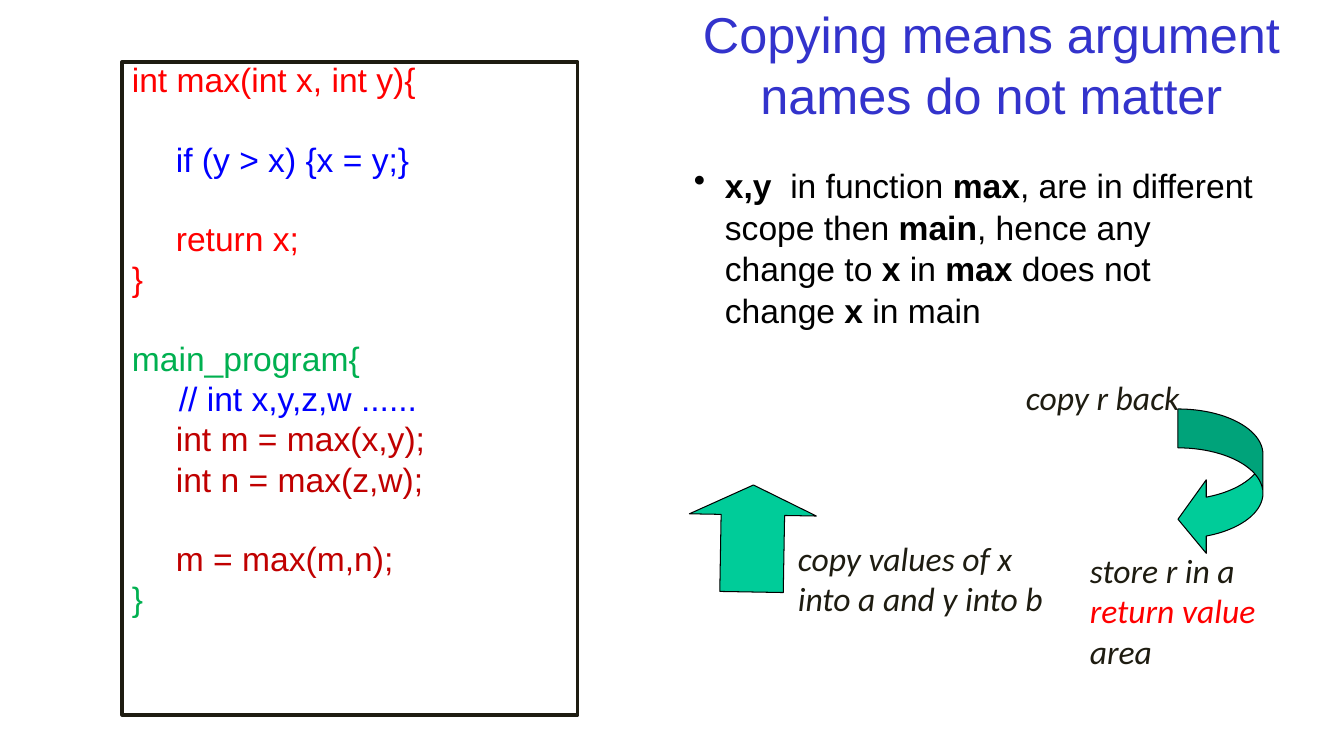
from dataclasses import dataclass

from lxml.etree import SubElement
from pptx import Presentation
from pptx.dml.color import RGBColor
from pptx.enum.shapes import MSO_SHAPE
from pptx.enum.text import MSO_ANCHOR, MSO_AUTO_SIZE, PP_ALIGN
from pptx.oxml.ns import qn
from pptx.util import Emu, Pt

SCALE = 914400 / 100.8


def px(length):
    return Emu(round(length * SCALE))


@dataclass(frozen=True)
class Theme:
    title: str = "3333CC"
    body: str = "000000"
    ink: str = "1E1C11"
    red: str = "FF0000"
    blue: str = "0000FF"
    green: str = "00B050"
    dark_red: str = "C00000"
    arrow: str = "00CC99"
    sans: str = "Arial"
    note: str = "Calibri"
    title_size: int = 36
    text_size: int = 24


class SlideBuilder:
    def __init__(self, theme, slide):
        self.theme = theme
        self.slide = slide

    def place(self, shape, box):
        for side, length in zip(("left", "top", "width", "height"), box):
            setattr(shape, side, px(length))

    def frame(self, shape, anchor=MSO_ANCHOR.TOP):
        settings = {"word_wrap": True, "auto_size": MSO_AUTO_SIZE.NONE,
                    "vertical_anchor": anchor}
        for name, value in settings.items():
            setattr(shape.text_frame, name, value)
        return shape.text_frame

    def run(self, paragraph, text, color, **style):
        run = paragraph.add_run()
        run.text = text
        settings = {"name": self.theme.sans, "size": Pt(self.theme.text_size)} | style
        for name, value in settings.items():
            setattr(run.font, name, value)
        run.font.color.rgb = RGBColor.from_string(color)

    def indent(self, paragraph, margin, first=0):
        properties = paragraph._p.get_or_add_pPr()
        properties.set("marL", str(px(margin)))
        properties.set("indent", str(px(first)))
        return properties

    def title(self, text, box):
        heading = self.slide.shapes.title
        self.place(heading, box)
        paragraph = self.frame(heading, MSO_ANCHOR.MIDDLE).paragraphs[0]
        paragraph.alignment = PP_ALIGN.CENTER
        self.run(paragraph, text, self.theme.title, size=Pt(self.theme.title_size))

    def shape(self, kind, box, line, width, fill=None, adjustments=(), rotation=0):
        shape = self.slide.shapes.add_shape(kind, *map(px, box))
        shape.shadow.inherit = False
        shape.rotation = rotation
        for index, value in enumerate(adjustments):
            shape.adjustments[index] = value
        if fill:
            shape.fill.solid()
            shape.fill.fore_color.rgb = RGBColor.from_string(fill)
        else:
            shape.fill.background()
        shape.line.color.rgb = RGBColor.from_string(line)
        shape.line.width = Pt(width)
        return shape

    def code(self, box, lines):
        listing = self.shape(MSO_SHAPE.RECTANGLE, box, self.theme.ink, 2.25)
        frame = self.frame(listing)
        for index, (text, color, margin, gap) in enumerate(lines):
            paragraph = frame.add_paragraph() if index else frame.paragraphs[0]
            settings = {"alignment": PP_ALIGN.LEFT, "line_spacing": 0.8,
                        "space_before": Pt(33.6 if gap else 5.8)}
            for name, value in settings.items():
                setattr(paragraph, name, value)
            self.indent(paragraph, margin)
            self.run(paragraph, text, color)

    def text(self, box):
        return self.frame(self.slide.shapes.add_textbox(*map(px, box))).paragraphs[0]

    def bullet(self, box, parts):
        paragraph = self.text(box)
        paragraph.line_spacing = 1.04
        properties = self.indent(paragraph, 31, -31)
        SubElement(properties, qn("a:buChar")).set("char", "•")
        for index, part in enumerate(parts):
            self.run(paragraph, part, self.theme.body, bold=index % 2 == 0)

    def note(self, box, *parts):
        paragraph = self.text(box)
        for text, color in parts:
            self.run(paragraph, text, color, name=self.theme.note, italic=True)

    def arrow(self, kind, box, adjustments, rotation=0):
        self.shape(kind, box, self.theme.body, 0.75, self.theme.arrow,
                   adjustments, rotation)


theme = Theme()
deck = Presentation()
deck.slide_width, deck.slide_height = px(1344), px(756)
page = SlideBuilder(theme, deck.slides.add_slide(deck.slide_layouts[5]))

# Heading
page.title("Copying means argument names do not matter", (660, 13, 663, 102))

# Program: text, colour, indent, gap above
STEP = 44
page.code((122, 62, 456, 653), [
    ("int max(int x, int y){", theme.red, 0, False),
    ("if (y > x) {x = y;}", theme.blue, STEP, True),
    ("return x;", theme.red, STEP, True),
    ("}", theme.red, 0, False),
    ("main_program{", theme.green, 0, True),
    ("// int x,y,z,w ......", theme.blue, STEP + 3, False),
    ("int m = max(x,y);", theme.dark_red, STEP, False),
    ("int n = max(z,w);", theme.dark_red, STEP, False),
    ("m = max(m,n);", theme.dark_red, STEP, True),
    ("}", theme.green, 0, False),
])

# Explanation, with bold and regular parts in turn
page.bullet((684, 158, 583, 173), [
    "x,y", "  in function ", "max", ", are in different scope then ", "main",
    ", hence any change to ", "x", " in ", "max", " does not change ", "x", " in main",
])

# Copying back
page.arrow(MSO_SHAPE.CURVED_LEFT_ARROW, (1178, 409, 85, 147), (0.458, 0.917, 0.333))
page.note((1016, 372, 228, 50), ("copy r back", theme.ink))

# Copying in
page.arrow(MSO_SHAPE.UP_ARROW, (689, 485, 127, 107), (0.5, 0.28), rotation=1)
page.note((788, 533, 267, 92), ("copy values of x into a and y into b", theme.ink))

# Return value
page.note((1080, 545, 190, 132), ("store r in a ", theme.ink),
          ("return value ", theme.red), ("area", theme.ink))

deck.save("out.pptx")
